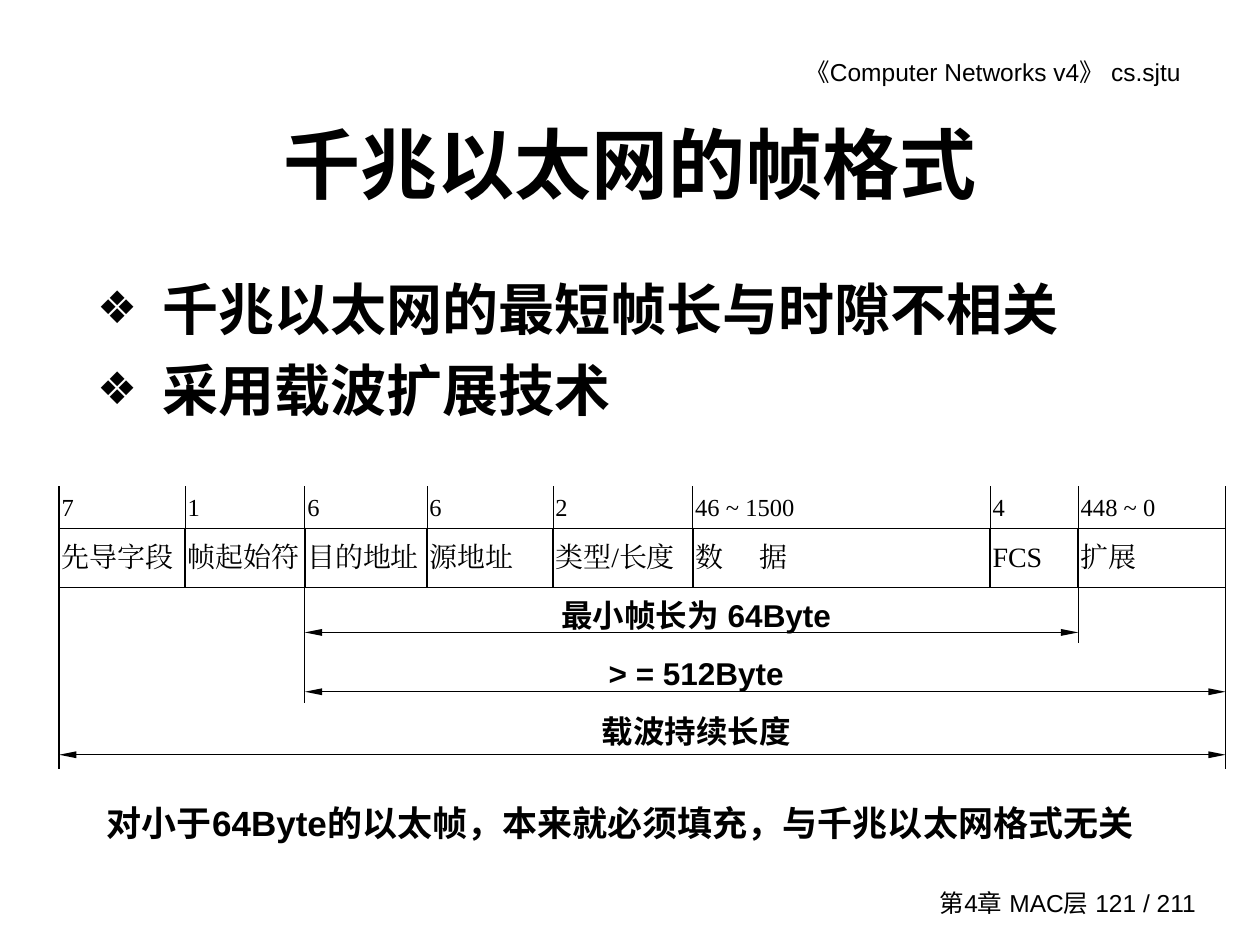
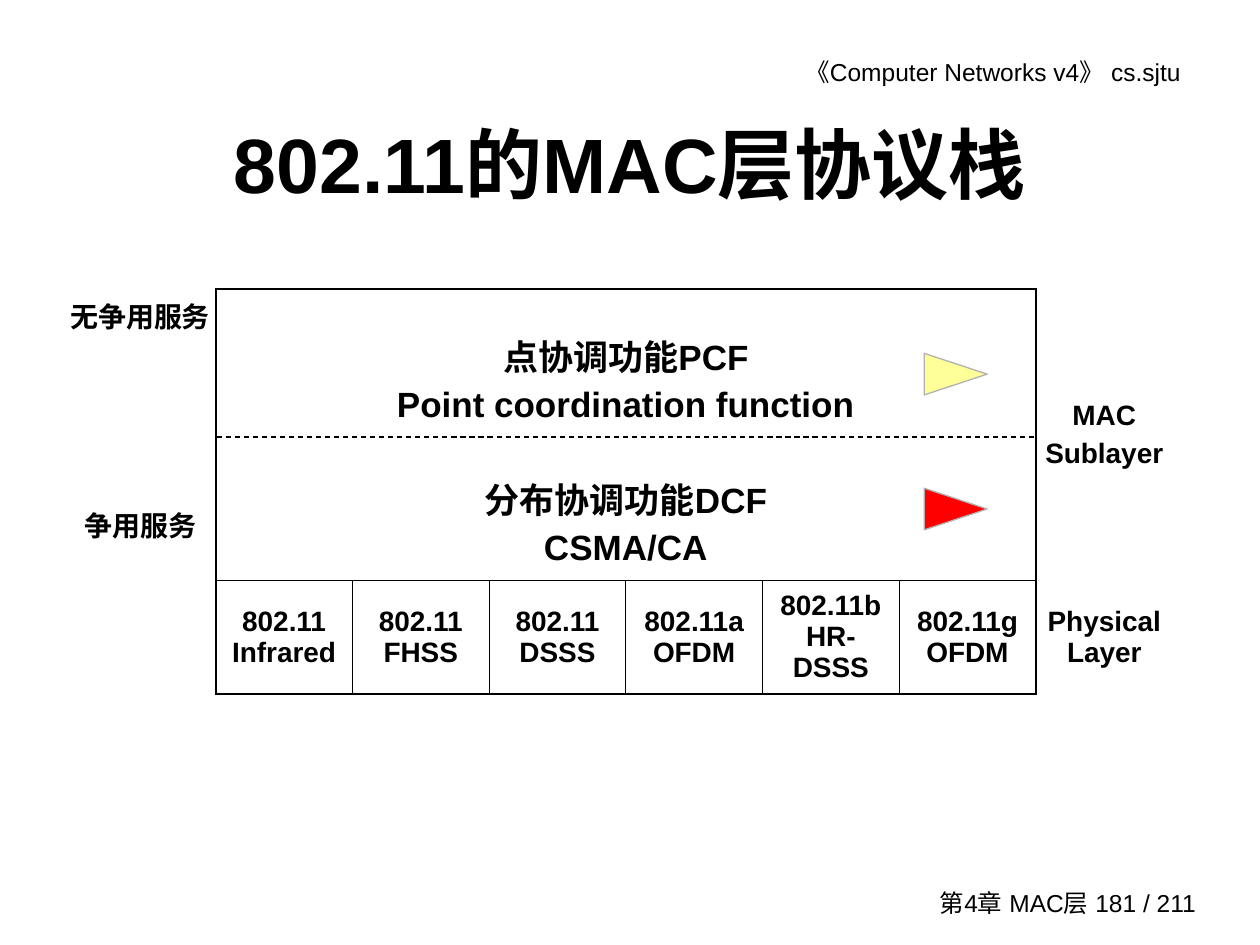
from itertools import accumulate

from lxml import etree
from pptx import Presentation
from pptx.dml.color import RGBColor
from pptx.enum import dml, shapes, text
from pptx.oxml import ns
from pptx.util import Pt

COLORS = {"ink": "000000", "edge": "B2B2B2", "pcf": "FFFF99", "dcf": "FF0000"}
SANS, SERIF = "Arial", "Times New Roman"
THIN, THICK = 0.45, 1.08
LEFT, CENTER, RIGHT = text.PP_ALIGN.LEFT, text.PP_ALIGN.CENTER, text.PP_ALIGN.RIGHT
TOP, MIDDLE, BOTTOM = text.MSO_ANCHOR.TOP, text.MSO_ANCHOR.MIDDLE, text.MSO_ANCHOR.BOTTOM


def rgb(name):
    return RGBColor.from_string(COLORS[name])


def sub(parent, tag, **attrs):
    return etree.SubElement(parent, ns.qn(tag), **attrs)


# Text
def write(tf, lines, size, bold=False, font=SANS, align=LEFT, gap=0, spacing=None):
    for i, line in enumerate(lines):
        p = tf.paragraphs[0] if i == 0 else tf.add_paragraph()
        p.alignment = align
        p.space_before = Pt(gap if i else 0)
        if spacing:
            p.line_spacing = spacing
        r = p.add_run()
        r.text = line
        r.font.size, r.font.bold, r.font.name = Pt(size), bold, font
        r.font.color.rgb = rgb("ink")
        rPr = r._r.get_or_add_rPr()
        rPr.set("lang", "zh-CN")
        sub(rPr, "a:ea", typeface=font)


def set_margins(obj, x, y):
    obj.margin_left = obj.margin_right = Pt(x)
    obj.margin_top = obj.margin_bottom = Pt(y)


def add_text(slide, box, lines, size, anchor=TOP, **style):
    tf = slide.shapes.add_textbox(*map(Pt, box)).text_frame
    tf.word_wrap = True
    tf.vertical_anchor = anchor
    set_margins(tf, 7.2, 3.6)
    write(tf, lines, size, **style)
    return tf


def fill_placeholder(sp, box, lines, size, anchor, **style):
    sp.left, sp.top, sp.width, sp.height = map(Pt, box)
    tf = sp.text_frame
    tf.auto_size = text.MSO_AUTO_SIZE.NONE
    tf.vertical_anchor = anchor
    set_margins(tf, 1.44, 0.72)
    write(tf, lines, size, bold=True, **style)
    return tf


def add_bullets(tf, indent):
    for p in tf.paragraphs:
        pPr = p._p.get_or_add_pPr()
        pPr.set("marL", str(Pt(indent)))
        pPr.set("indent", str(-Pt(indent)))
        sub(sub(pPr, "a:buClr"), "a:srgbClr", val=COLORS["ink"])
        sub(pPr, "a:buSzPct", val="80000")
        sub(pPr, "a:buChar", char="❖")


# Lines
def add_line(slide, x1, y1, x2, y2, arrows=False, dashed=False):
    line = slide.shapes.add_connector(shapes.MSO_CONNECTOR.STRAIGHT, *map(Pt, (x1, y1, x2, y2)))
    line.line.color.rgb = rgb("ink")
    line.line.width = Pt(0.75)
    if dashed:
        line.line.dash_style = dml.MSO_LINE.DASH
    if arrows:
        for end in ("a:headEnd", "a:tailEnd"):
            sub(line.line._get_or_add_ln(), end, type="triangle", w="sm", len="lg")
    sub(line._element.spPr, "a:effectLst")


# Tables
def add_grid(slide, left, top, widths, heights, v_edge, h_edge):
    """v_edge(row, x) and h_edge(y, col) give the border width of each grid edge."""
    frame = slide.shapes.add_table(len(heights), len(widths), Pt(left), Pt(top),
                                   Pt(sum(widths)), Pt(sum(heights)))
    table = frame.table
    table.first_row = table.horz_banding = False
    for col, width in zip(table.columns, widths):
        col.width = Pt(width)
    for row, height in zip(table.rows, heights):
        row.height = Pt(height)
    for r in range(len(heights)):
        for c in range(len(widths)):
            cell = table.cell(r, c)
            tcPr = cell._tc.get_or_add_tcPr()
            edges = {"a:lnL": v_edge(r, c), "a:lnR": v_edge(r, c + 1),
                     "a:lnT": h_edge(r, c), "a:lnB": h_edge(r + 1, c)}
            for tag, width in edges.items():
                ln = sub(tcPr, tag, w=str(Pt(width)))
                if width:
                    sub(sub(ln, "a:solidFill"), "a:srgbClr", val=COLORS["ink"])
                else:
                    sub(ln, "a:noFill")
            cell.fill.background()
    return table


def fill_cell(cell, lines, size, anchor=MIDDLE, margin=7.2, lead=0, **style):
    set_margins(cell, margin, 3.6)
    cell.margin_top = Pt(3.6 + lead)
    cell.vertical_anchor = anchor
    write(cell.text_frame, lines, size, **style)


# Parts shared by the slides
def add_slide(prs, layout, title, page):
    slide = prs.slides.add_slide(prs.slide_layouts[layout])
    header = add_text(slide, (342.7, 28.8, 347, 24.5), ["《Computer Networks v4》 cs.sjtu"], 14, align=RIGHT)
    header.margin_right = Pt(15)
    add_text(slide, (525.6, 504, 164.9, 23.8), [f"第4章 MAC层 {page} / 211"], 14,
             anchor=MIDDLE, align=RIGHT)
    fill_placeholder(slide.shapes.title, (54, 48.2, 612, 90), [title], 44, MIDDLE, align=CENTER)
    return slide


def build_frame_format(prs):
    slide = add_slide(prs, 1, "千兆以太网的帧格式", 121)
    body = fill_placeholder(slide.placeholders[1], (54, 156.2, 612, 102.2),
                            ["千兆以太网的最短帧长与时隙不相关", "采用载波扩展技术"], 32, TOP, gap=8)
    add_bullets(body, 37.4)

    # Frame fields with their lengths in bytes
    fields = [("7", "先导字段", 72), ("1", "帧起始符", 68.4), ("6", "目的地址", 69.8),
              ("6", "源地址", 72), ("2", "类型/长度", 79.9), ("46 ~ 1500", "数\t据", 169.9),
              ("4", "FCS", 50.4), ("448 ~ 0", "扩展", 84.2)]
    widths = [width for _, _, width in fields]
    table = add_grid(slide, 33.8, 277.9, widths, [20.2, 33.8],
                     lambda r, x: THICK if r or x in (0, len(fields)) else THIN,
                     lambda y, c: THICK if y else 0)
    for c, (length, name, _) in enumerate(fields):
        fill_cell(table.cell(0, c), [length], 14, anchor=BOTTOM, margin=1.44, font=SERIF)
        fill_cell(table.cell(1, c), [name], 16, margin=1.44, font=SERIF)
        if "\t" in name:
            pPr = table.cell(1, c).text_frame.paragraphs[0]._p.get_or_add_pPr()
            sub(sub(pPr, "a:tabLst"), "a:tab", pos=str(Pt(36.6)), algn="l")

    # Length spans below the table
    edges = list(accumulate(widths, initial=33.8))
    start, address, extension, end = edges[0], edges[2], edges[7], edges[8]
    for x, bottom in ((start, 439.2), (address, 401.8), (extension, 367.2), (end, 439.2)):
        add_line(slide, x, 331.2, x, bottom)
    for x1, x2, y in ((address, extension, 361.4), (address, end, 395.3), (start, end, 431.3)):
        add_line(slide, x1, y, x2, y, arrows=True)
    add_text(slide, (297.4, 325.4, 200.9, 102.2), ["最小帧长为 64Byte", "> = 512Byte", "载波持续长度"],
             18, bold=True, align=CENTER, spacing=1.54)
    add_text(slide, (54, 454.3, 624.2, 31.7),
             ["对小于64Byte的以太帧，本来就必须填充，与千兆以太网格式无关"], 20, bold=True)


def add_marker(slide, top, color):
    sp = slide.shapes.add_shape(shapes.MSO_SHAPE.ISOSCELES_TRIANGLE, Pt(534.2), Pt(top), Pt(23.8), Pt(36))
    sp.rotation = 90
    sp.shadow.inherit = False
    sp.fill.solid()
    sp.fill.fore_color.rgb = rgb(color)
    sp.line.color.rgb = rgb("edge")
    sp.line.width = Pt(0.75)


def build_protocol_stack(prs):
    slide = add_slide(prs, 5, "802.11的MAC层协议栈", 181)

    def v_edge(r, x):
        if x in (1, 7):
            return THICK
        return THIN if r == 2 and 1 < x < 7 else 0

    def h_edge(y, c):
        return {0: THICK, 2: THIN, 3: THICK}.get(y, 0) if 1 <= c <= 6 else 0

    table = add_grid(slide, 36.9, 165, [86.4] + [78.1] * 6 + [78.3], [101.5, 63.5, 60], v_edge, h_edge)
    cell = table.cell
    cell(0, 1).merge(cell(0, 6))
    cell(1, 1).merge(cell(1, 6))
    cell(0, 7).merge(cell(1, 7))

    # Services and layers at the sides
    side = dict(size=16, margin=2.9, bold=True, align=CENTER, gap=4)
    fill_cell(cell(0, 0), ["无争用服务"], anchor=TOP, lead=4, **side)
    fill_cell(cell(1, 0), ["争用服务"], lead=4, **side)
    fill_cell(cell(0, 7), ["MAC", "Sublayer"], **side)
    fill_cell(cell(2, 7), ["Physical Layer"], **side)

    # Coordination functions above the physical layers
    function = dict(size=20, bold=True, align=CENTER, gap=5, lead=5)
    fill_cell(cell(0, 1), ["点协调功能PCF", "Point coordination function"], **function)
    fill_cell(cell(1, 1), ["分布协调功能DCF", "CSMA/CA"], anchor=TOP, **function)
    physical = ["802.11 Infrared", "802.11 FHSS", "802.11 DSSS",
                "802.11a OFDM", "802.11b HR-DSSS", "802.11g OFDM"]
    for c, name in enumerate(physical, 1):
        fill_cell(cell(2, c), [name], 16, bold=True, align=CENTER)

    add_line(slide, 123.8, 249.8, 591.8, 249.8, dashed=True)
    add_marker(slide, 272.9, "dcf")
    add_marker(slide, 195.8, "pcf")


def main():
    prs = Presentation()
    prs.slide_width, prs.slide_height = Pt(720), Pt(540)
    build_frame_format(prs)
    build_protocol_stack(prs)
    prs.save("out.pptx")


if __name__ == "__main__":
    main()
